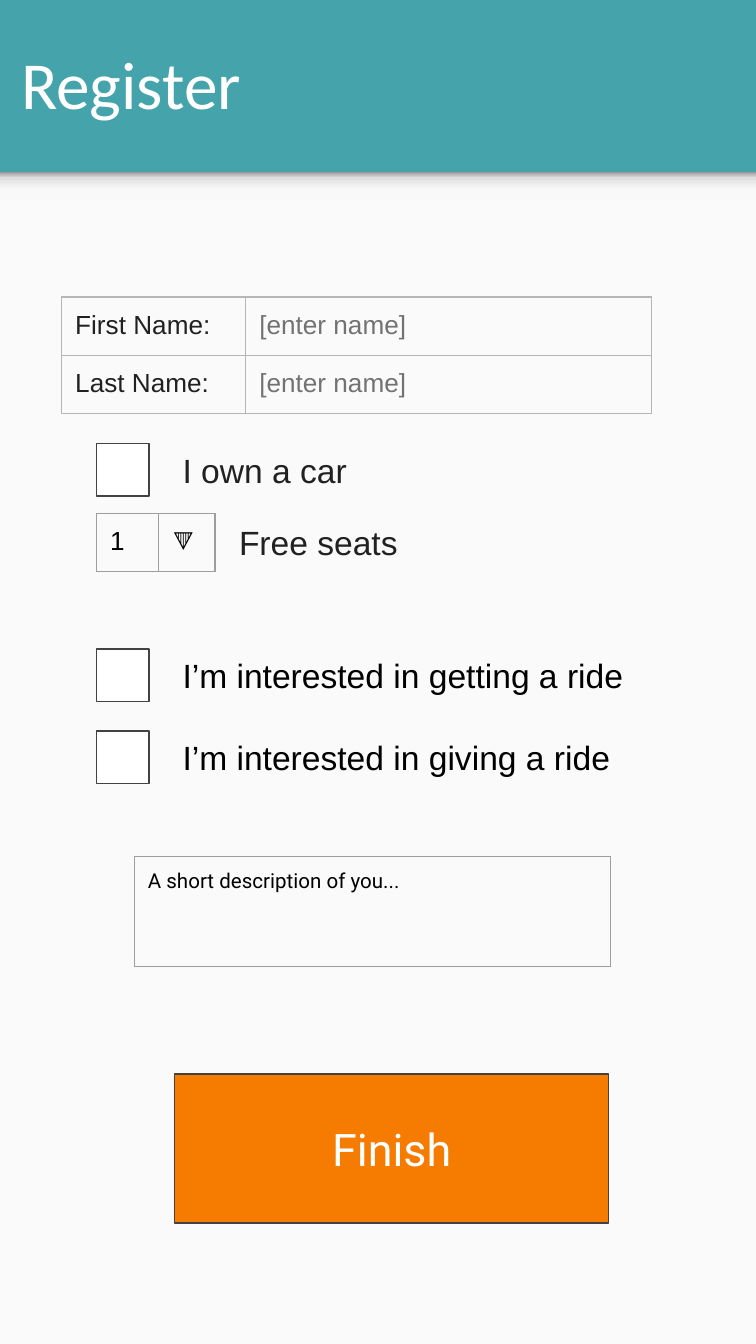
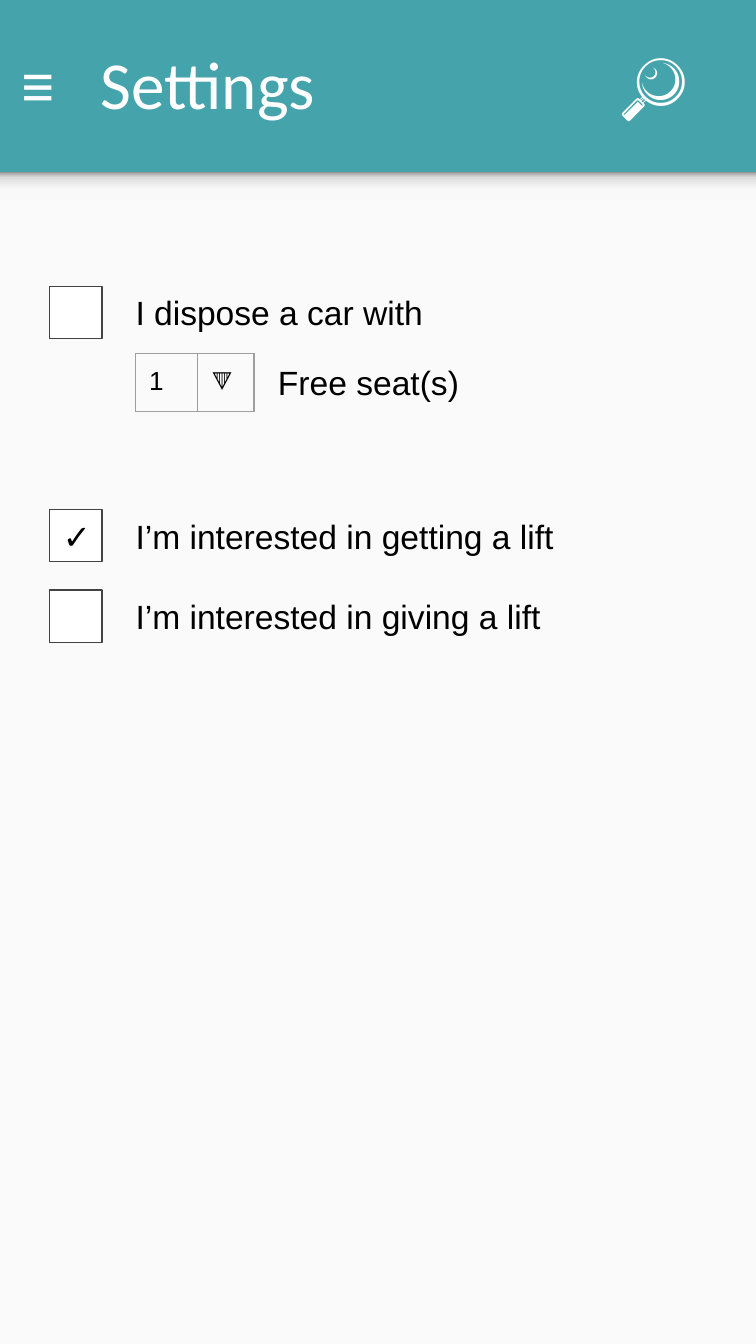
from lxml import etree
from pptx import Presentation
from pptx.dml.color import RGBColor
from pptx.enum.shapes import MSO_SHAPE as Shape
from pptx.enum.text import MSO_ANCHOR as Anchor, PP_ALIGN as Align
from pptx.oxml.ns import qn
from pptx.util import Inches, Pt

HEIGHT = 10
WIDTH = HEIGHT * 9 / 16
BAND_HEIGHT = 1.28
TEAL, PAPER, WHITE, ORANGE = "45A4AB", "FAFAFA", "FFFFFF", "F57C00"
BLACK, INK, HINT, OUTLINE = "000000", "212121", "727272", "424242"
FORM_RULE, FIELD_RULE = "B6B6B6", "9E9E9E"
SHADOW_STOPS = [(0, "F9F9F9"), (36, "F9F9F9"), (80, "DEDEDE"), (100, "999999")]
INSET = Inches(0.1)
LINE_WIDTH = Pt(0.75)
CHECK_SIZE = 0.39
LABEL_OFFSET = 0.54


def color(value):
    return RGBColor.from_string(value)


def add_color(parent, value):
    etree.SubElement(parent, qn("a:srgbClr"), val=value)


def write(frame, text, size=18, font="Arial", ink=BLACK, align=Align.LEFT):
    """Append a formatted span to the first paragraph of a text frame."""
    para = frame.paragraphs[0]
    para.alignment = align
    span = para.add_run()
    span.text = text
    span.font.size = Pt(size)
    span.font.name = font
    span.font.color.rgb = color(ink)
    return para


class Screen:
    """One app screen: the shared look and the slide it is drawn on."""

    def __init__(self, deck):
        self.page = deck.slides.add_slide(deck.slide_layouts[6])
        self.shapes = self.page.shapes
        background = self.page.background.fill
        background.solid()
        background.fore_color.rgb = color(TEAL)
        self.box(0, BAND_HEIGHT, WIDTH, HEIGHT - BAND_HEIGHT, PAPER)
        self.band_shadow()

    def box(self, left, top, width, height, fill, line=None):
        box = self.shapes.add_shape(Shape.RECTANGLE, Inches(left), Inches(top),
                                    Inches(width), Inches(height))
        box.shadow.inherit = False
        box.fill.solid()
        box.fill.fore_color.rgb = color(fill)
        if line:
            box.line.color.rgb = color(line)
            box.line.width = LINE_WIDTH
        else:
            box.line.fill.background()
        self.set_frame(box.text_frame)
        return box

    def set_frame(self, frame):
        frame.word_wrap = True
        frame.vertical_anchor = Anchor.MIDDLE
        frame.margin_left = frame.margin_right = INSET
        frame.margin_top = frame.margin_bottom = INSET

    def band_shadow(self):
        strip = self.box(0, BAND_HEIGHT, WIDTH, 0.21, PAPER)
        strip.fill.gradient()
        strip.fill.gradient_angle = 90
        stops = strip.element.spPr.find(".//" + qn("a:gsLst"))
        for stop in list(stops):
            stops.remove(stop)
        for percent, shade in SHADOW_STOPS:
            stop = etree.SubElement(stops, qn("a:gs"), pos=str(percent * 1000))
            add_color(stop, shade)

    def label(self, left, top, width, text, height=CHECK_SIZE, **style):
        box = self.shapes.add_textbox(Inches(left), Inches(top),
                                      Inches(width), Inches(height))
        self.set_frame(box.text_frame)
        return box.text_frame, write(box.text_frame, text, **style)

    def title(self, text, icon=None, tabs=()):
        style = dict(size=36, ink=WHITE)
        frame, para = self.label(0.06, 0.03, 5.43, text, height=1.17,
                                 font="Calibri", **style)
        if icon:
            write(frame, icon, **style)
        if tabs:
            properties = para._p.get_or_add_pPr()
            tab_list = etree.SubElement(properties, qn("a:tabLst"))
            for position in tabs:
                etree.SubElement(tab_list, qn("a:tab"), algn="l",
                                 pos=str(Inches(position)))

    def checkbox(self, left, top, text, mark=None, width=3.39, ink=BLACK):
        square = self.box(left, top, CHECK_SIZE, CHECK_SIZE, WHITE, OUTLINE)
        if mark:
            write(square.text_frame, mark)
        self.label(left + LABEL_OFFSET, top, width, text, ink=ink)

    def button(self, left, top, width, height, text):
        button = self.box(left, top, width, height, ORANGE, OUTLINE)
        write(button.text_frame, text, size=24, font="Roboto", ink=WHITE,
              align=Align.CENTER)

    def table(self, left, top, height, columns, rows, inks, row_height,
              rule=FIELD_RULE, size=14, font="Arial"):
        frame = self.shapes.add_table(
            len(rows), len(columns), Inches(left), Inches(top),
            Inches(sum(columns)), Inches(height))
        table = frame.table
        table.first_row = table.horz_banding = False
        for column, width in zip(table.columns, columns):
            column.width = Inches(width)
        for row, texts in zip(table.rows, rows):
            row.height = Inches(row_height)
            for cell, text, ink in zip(row.cells, texts, inks):
                cell.margin_left = cell.margin_right = INSET
                cell.margin_top = cell.margin_bottom = INSET
                cell.fill.background()
                self.cell_borders(cell, rule)
                write(cell.text_frame, text, size=size, font=font, ink=ink)
        frame.height = Inches(height)

    def cell_borders(self, cell, rule):
        properties = cell._tc.get_or_add_tcPr()
        for index, side in enumerate(("lnL", "lnR", "lnT", "lnB")):
            line = etree.Element(qn("a:" + side), w=str(LINE_WIDTH))
            add_color(etree.SubElement(line, qn("a:solidFill")), rule)
            properties.insert(index, line)

    def seat_picker(self, left, top):
        self.table(left, top, 0.43, [0.46, 0.42], [["1", "🔻"]],
                   [BLACK, BLACK], row_height=0.31)


def register_screen(deck):
    screen = Screen(deck)
    screen.title("Register")
    # Name form
    screen.table(0.46, 2.21, 0.87, [1.37, 3.02],
                 [["First Name:", "[enter name]"], ["Last Name:", "[enter name]"]],
                 [INK, HINT], row_height=0.42, rule=FORM_RULE)
    # Car and ride choices
    left = 0.72
    screen.checkbox(left, 3.3, "I own a car", ink=INK)
    screen.checkbox(left, 4.83, "I’m interested in getting a ride", width=3.85)
    screen.checkbox(left, 5.44, "I’m interested in giving a ride")
    screen.label(1.68, 3.84, 3.39, "Free seats", ink=INK)
    # Finish button, seat picker and description field
    screen.button(1.3, 7.99, 3.23, 1.11, "Finish")
    screen.seat_picker(left, 3.82)
    screen.table(1, 6.37, 0.82, [3.54], [["A short description of you..."]],
                 [BLACK], row_height=0.82, size=11, font="Roboto")


def settings_screen(deck):
    screen = Screen(deck)
    screen.title("≡\tSettings\t", icon="🔎", tabs=(0.59, 4.45))
    # Car and lift choices
    left = 0.37
    screen.checkbox(left, 2.13, "I dispose a car with")
    screen.checkbox(left, 3.79, "I’m interested in getting a lift", mark="✓",
                    width=3.85)
    screen.checkbox(left, 4.39, "I’m interested in giving a lift")
    # Seat picker
    screen.label(1.97, 2.65, 1.69, "Free seat(s)")
    screen.seat_picker(1.01, 2.63)


def main():
    deck = Presentation()
    deck.slide_width, deck.slide_height = Inches(WIDTH), Inches(HEIGHT)
    register_screen(deck)
    settings_screen(deck)
    deck.save("out.pptx")


if __name__ == "__main__":
    main()
